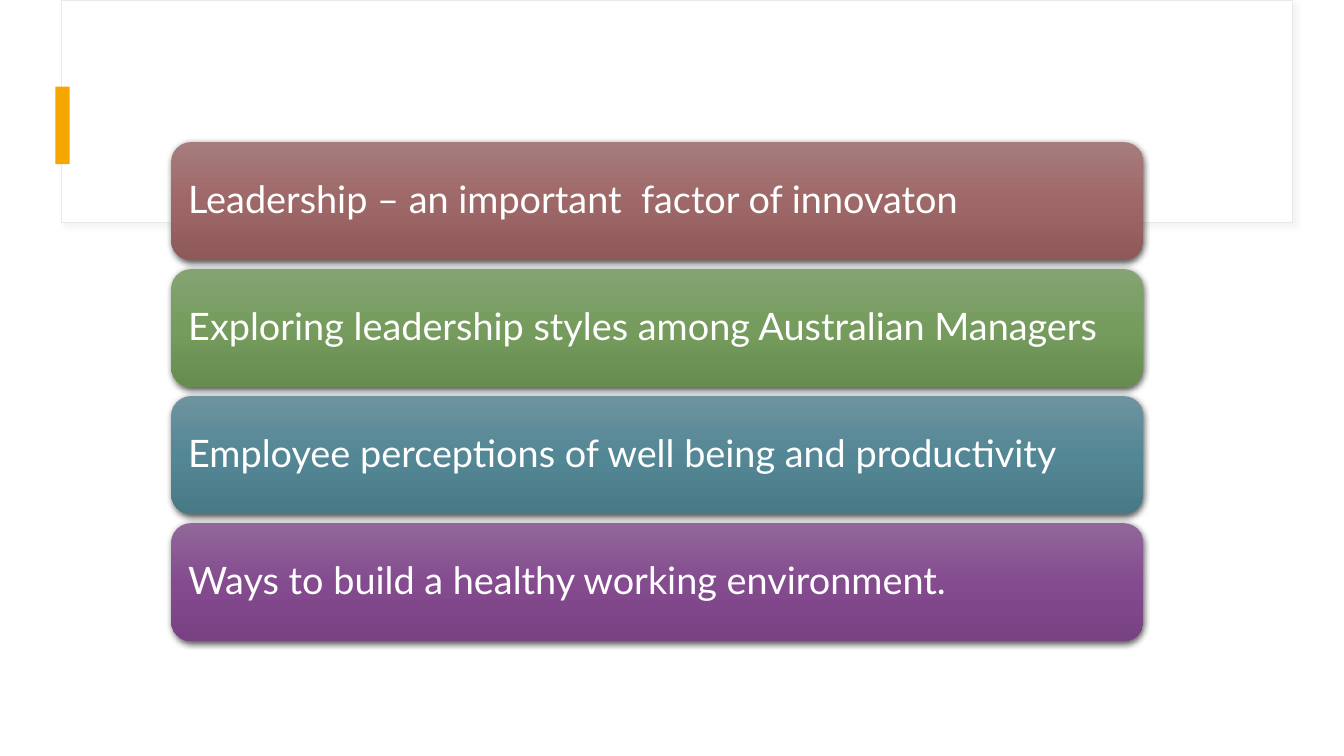
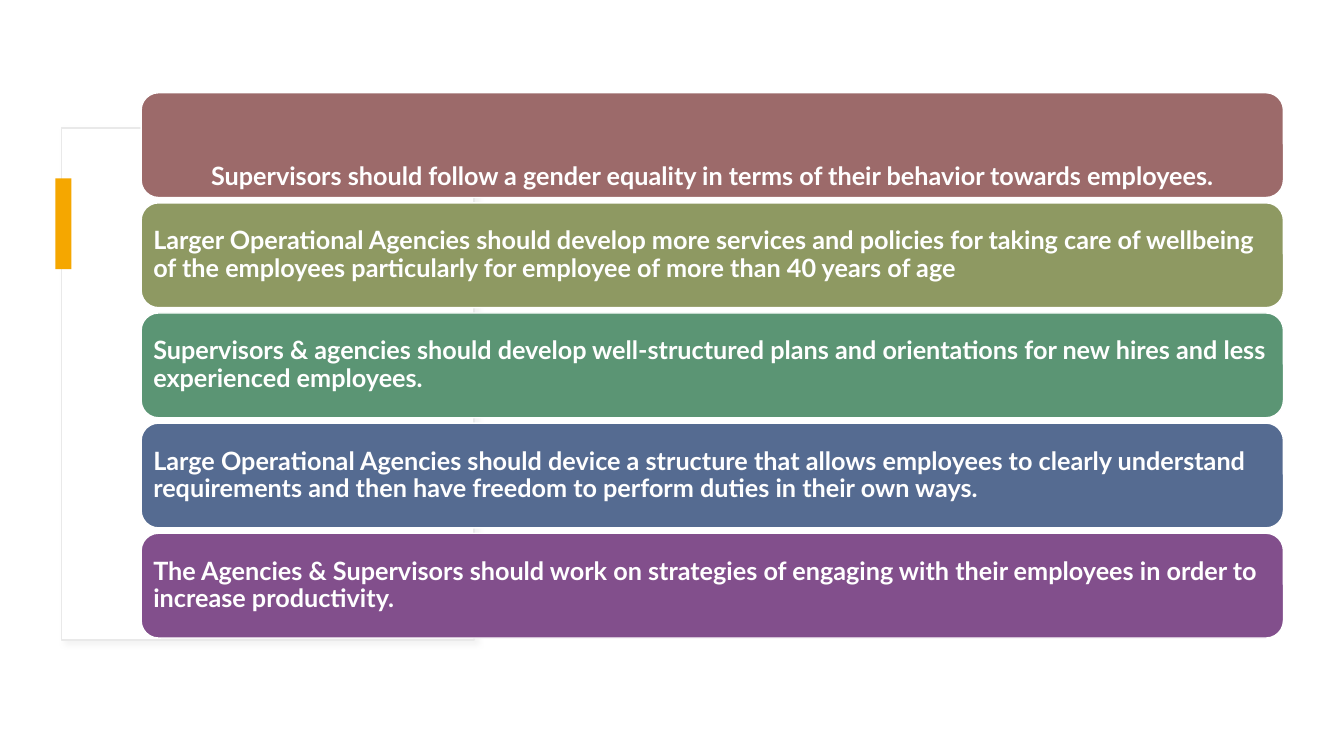
from dataclasses import dataclass

from copy import deepcopy
from lxml import etree
from pptx import Presentation
from pptx.dml.color import RGBColor
from pptx.enum import shapes, text
from pptx.oxml.ns import qn
from pptx.util import Inches, Pt


@dataclass(frozen=True)
class Theme:
    font: str = "Lato"
    white: str = "FFFFFF"
    accent: str = "F5A700"
    outline: str = "E9E9E9"
    agenda_size: float = 27
    advice_size: float = 18
    # colour, opacity %, blur pt, distance pt, direction in degrees
    panel_shadow: tuple = ("D9D9D9", 30, 4, 3, 45)
    bar_shadow: tuple = ("000000", 63, 4.5, 1.5, 90)


THEME = Theme()

AGENDA = [
    (("A77C7C", "9F6868", "905959"), "Leadership – an important  factor of innovaton"),
    (("85A473", "759B5D", "678C50"), "Exploring leadership styles among Australian Managers"),
    (("6D939F", "548795", "487987"), "Employee perceptions of well being and productivity"),
    (("91679A", "844C8F", "774182"), "Ways to build a healthy working environment."),
]

ADVICE = [
    ("9C6A6A", "Supervisors should follow a gender equality in terms of their "
     "behavior towards employees."),
    ("8E9962", "Larger Operational Agencies should develop more services and policies "
     "for taking care of wellbeing of the employees particularly for employee of "
     "more than 40 years of age"),
    ("5B9574", "Supervisors & agencies should develop well-structured plans and "
     "orientations for new hires and less experienced employees."),
    ("556B91", "Large Operational Agencies should device a structure that allows "
     "employees to clearly understand requirements and then have freedom to perform "
     "duties in their own ways."),
    ("824F8C", "The Agencies & Supervisors should work on strategies of engaging with "
     "their employees in order to increase productivity."),
]


def set_all(target, values):
    for name, value in values.items():
        setattr(target, name, value)


def add_shadow(shape, colour, opacity, blur, distance, direction):
    effects = shape._element.spPr.find(qn("a:effectLst"))
    shadow = etree.SubElement(effects, qn("a:outerShdw"), {
        "blurRad": str(Pt(blur)), "dist": str(Pt(distance)),
        "dir": str(direction * 60000), "algn": "ctr", "rotWithShape": "0"})
    tone = etree.SubElement(shadow, qn("a:srgbClr"), val=colour)
    etree.SubElement(tone, qn("a:alpha"), val=str(opacity * 1000))


def fill_gradient(shape, colours):
    """Spread three colours evenly from top to bottom."""
    shape.fill.gradient()
    shape.fill.gradient_angle = 270
    stops = shape._element.spPr.find(".//" + qn("a:gsLst"))
    stops.append(deepcopy(stops[0]))
    for index, (stop, colour) in enumerate(zip(shape.fill.gradient_stops, colours)):
        stop.color.rgb = RGBColor.from_string(colour)
        stop.position = index / (len(colours) - 1)


def add_block(page, kind, box, fill, line=None, shadow=None):
    """Add a shape; fill is one colour or a tuple of gradient colours."""
    shape = page.shapes.add_shape(kind, *map(Inches, box))
    shape.shadow.inherit = False
    if isinstance(fill, tuple):
        fill_gradient(shape, fill)
    else:
        shape.fill.solid()
        shape.fill.fore_color.rgb = RGBColor.from_string(fill)
    if line:
        colour, width = line
        shape.line.color.rgb = RGBColor.from_string(colour)
        shape.line.width = Pt(width)
    else:
        shape.line.fill.background()
    if shadow:
        add_shadow(shape, *shadow)
    return shape


def add_title_panel(page, box, tab_offset, tab_size, line_width):
    """Outlined panel with an accent tab across its left edge."""
    left, top = box[:2]
    rectangle = shapes.MSO_SHAPE.RECTANGLE
    add_block(page, rectangle, box, THEME.white,
              (THEME.outline, line_width), THEME.panel_shadow)
    tab = (left - 0.06, top + tab_offset, *tab_size)
    add_block(page, rectangle, tab, THEME.accent)


def write_bar(bar, wording, size, bold, inset):
    frame = bar.text_frame
    set_all(frame, {"word_wrap": True, "vertical_anchor": text.MSO_ANCHOR.MIDDLE})
    set_all(frame, {f"margin_{side}": Inches(inset)
                    for side in ("left", "top", "right", "bottom")})
    para = frame.paragraphs[0]
    set_all(para, {"alignment": text.PP_ALIGN.LEFT, "line_spacing": 0.9})
    span = para.add_run()
    span.text = wording
    set_all(span.font, {"name": THEME.font, "size": Pt(size), "bold": bold})
    span.font.color.rgb = RGBColor.from_string(THEME.white)
    return para


def add_bar_stack(page, box, items, bar_height, size, inset,
                  bold=False, line=None, shadow=None):
    """Spread equal bars over the box and return their paragraphs."""
    left, top, width, height = box
    pitch = (height - bar_height) / (len(items) - 1)
    paras = []
    for index, (fill, wording) in enumerate(items):
        bar = add_block(page, shapes.MSO_SHAPE.ROUNDED_RECTANGLE,
                        (left, top + index * pitch, width, bar_height),
                        fill, line, shadow)
        paras.append(write_bar(bar, wording, size, bold, inset))
    return paras


def build_agenda(page):
    add_title_panel(page, (0.61, 0, 12.21, 2.21), 0.86, (0.14, 0.77), 0.75)
    add_bar_stack(page, (1.7, 1.41, 9.64, 4.95), AGENDA, 1.17,
                  THEME.agenda_size, 0.11, shadow=THEME.bar_shadow)


def build_advice(page):
    add_title_panel(page, (0.61, 1.27, 4.09, 5.08), 0.5, (0.16, 0.9), 1)
    paras = add_bar_stack(page, (1.4, 0.92, 11.33, 5.41), ADVICE, 1.04,
                          THEME.advice_size, 0.07, bold=True, line=(THEME.white, 1))
    set_all(paras[0], {"alignment": text.PP_ALIGN.CENTER, "line_spacing": 3.0})


def main():
    deck = Presentation()
    set_all(deck, {"slide_width": Inches(13.33), "slide_height": Inches(7.5)})
    for build in (build_agenda, build_advice):
        build(deck.slides.add_slide(deck.slide_layouts[6]))
    deck.save("out.pptx")


if __name__ == "__main__":
    main()
